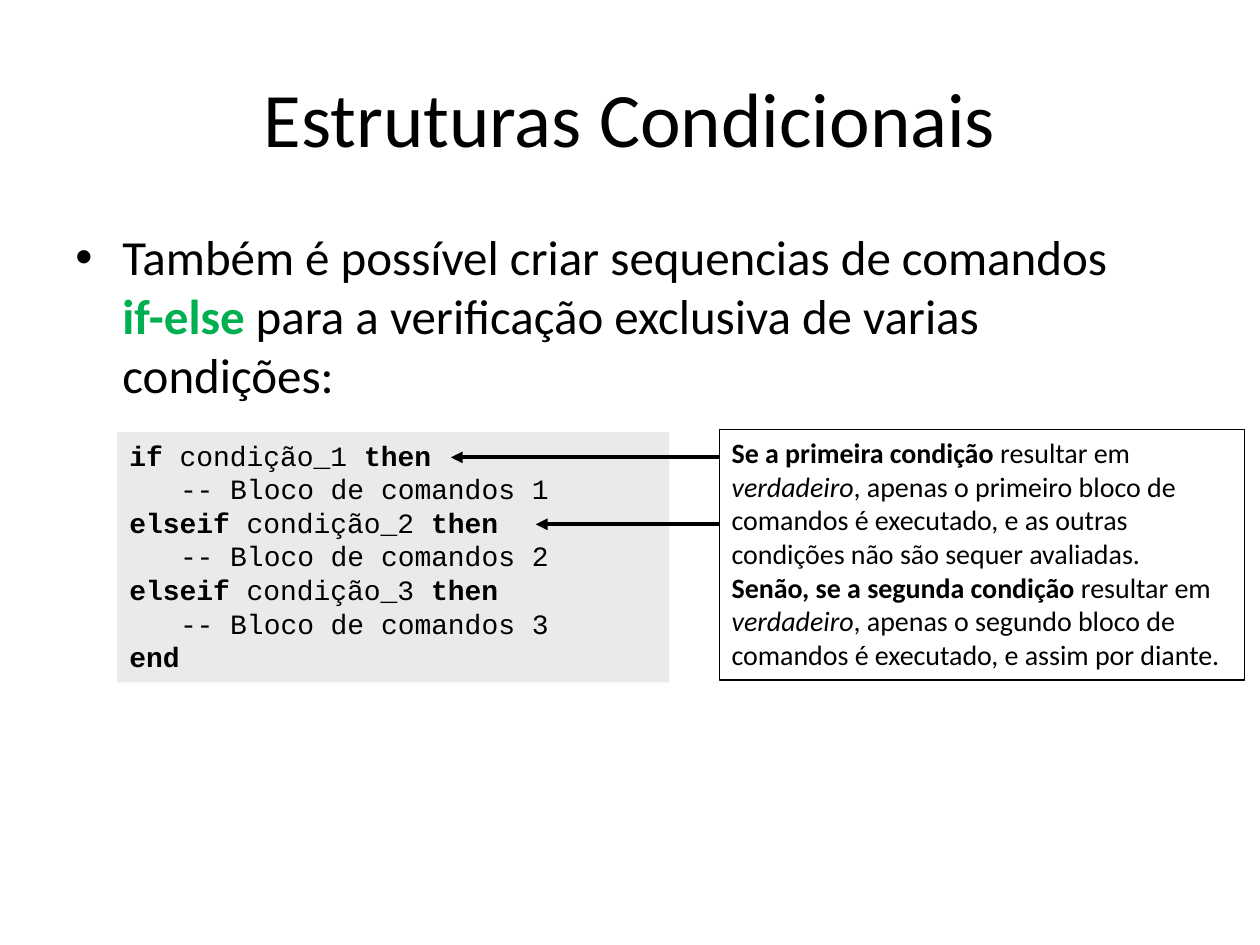
from lxml.etree import SubElement
from pptx import Presentation
from pptx.dml.color import RGBColor
from pptx.enum.shapes import MSO_CONNECTOR, MSO_SHAPE
from pptx.enum.text import MSO_ANCHOR, PP_ALIGN
from pptx.oxml.ns import qn
from pptx.util import Cm, Pt


def color(value):
    return RGBColor.from_string(value)


def write(paragraph, text, font="Calibri", size=16, ink="000000", bold=False, italic=False):
    run = paragraph.add_run()
    run.text = text
    run.font.name = font
    run.font.size = Pt(size)
    run.font.bold = bold
    run.font.italic = italic
    run.font.color.rgb = color(ink)


class Lesson:
    ink = "000000"
    keyword = "00B050"
    code_fill = "EAEAEA"

    def __init__(self, slide):
        self.slide = slide

    def fill_frame(self, frame, paragraphs, anchor=MSO_ANCHOR.TOP, align=PP_ALIGN.LEFT, **style):
        frame.word_wrap = True
        frame.vertical_anchor = anchor
        for index, spans in enumerate(paragraphs):
            paragraph = frame.add_paragraph() if index else frame.paragraphs[0]
            paragraph.alignment = align
            for text, extra in spans:
                write(paragraph, text, **{**style, **extra})
        return frame

    def text(self, box, paragraphs, **style):
        shape = self.slide.shapes.add_textbox(*map(Cm, box))
        return self.fill_frame(shape.text_frame, paragraphs, **style)

    def bullet(self, box, spans, **style):
        frame = self.text(box, [spans], **style)
        frame.margin_right = Cm(1.2)
        paragraph = frame.paragraphs[0]
        paragraph.space_before = Pt(5.6)
        properties = paragraph._p.get_or_add_pPr()
        hanging = Cm(0.95)
        properties.set("marL", str(hanging))
        properties.set("indent", str(-hanging))
        SubElement(properties, qn("a:buFont")).set("typeface", "Arial")
        SubElement(properties, qn("a:buChar")).set("char", "•")

    def panel(self, box, paragraphs, fill=None, line=None, **style):
        shape = self.slide.shapes.add_shape(MSO_SHAPE.RECTANGLE, *map(Cm, box))
        shape.shadow.inherit = False
        if fill:
            shape.fill.solid()
            shape.fill.fore_color.rgb = color(fill)
        else:
            shape.fill.background()
        if line:
            shape.line.color.rgb = color(line)
            shape.line.width = Pt(0.75)
        else:
            shape.line.fill.background()
        return self.fill_frame(shape.text_frame, paragraphs, **style)

    def code(self, box, lines):
        frame = self.panel(box, [spans for _, spans in lines], fill=self.code_fill, font="Courier New")
        for paragraph, (level, _) in zip(frame.paragraphs, lines):
            paragraph._p.get_or_add_pPr().set("marL", str(Cm(1.02) * level))

    def arrow(self, start, end, y):
        connector = self.slide.shapes.add_connector(
            MSO_CONNECTOR.STRAIGHT, Cm(start), Cm(y), Cm(end), Cm(y))
        connector.line.color.rgb = color(self.ink)
        connector.line.width = Pt(2.25)
        SubElement(connector.line._get_or_add_ln(), qn("a:tailEnd")).set("type", "triangle")
        SubElement(connector._element.spPr, qn("a:effectLst"))


def plain(text):
    return text, {}


def bold(text, **extra):
    return text, {"bold": True, **extra}


def italic(text):
    return text, {"italic": True}


presentation = Presentation()
presentation.slide_width = Cm(25.4)
presentation.slide_height = Cm(19.05)
lesson = Lesson(presentation.slides.add_slide(presentation.slide_layouts[6]))

lesson.text((1.27, 0.76, 22.86, 3.18), [[plain("Estruturas Condicionais")]],
            size=44, anchor=MSO_ANCHOR.MIDDLE, align=PP_ALIGN.CENTER)

lesson.bullet((1.27, 4.45, 22.86, 12.57), [
    plain("Também é possível criar sequencias de comandos "),
    bold("if-else", ink=lesson.keyword),
    plain(" para a verificação exclusiva de varias condições:"),
], size=28)

code_lines = []
for number, branch in enumerate(("if", "elseif", "elseif"), start=1):
    code_lines.append((0, [bold(branch), plain(f" condição_{number} "), bold("then")]))
    code_lines.append((1, [plain(f"-- Bloco de comandos {number}")]))
code_lines.append((0, [bold("end")]))
lesson.code((2.36, 8.71, 11.13, 5.05), code_lines)

explanations = [
    ("Se a primeira condição ",
     ", apenas o primeiro bloco de comandos é executado, e as outras condições não são sequer avaliadas."),
    ("Senão, se a segunda condição ",
     ", apenas o segundo bloco de comandos é executado, e assim por diante."),
]
explanation_left = 14.5
lesson.panel((explanation_left, 8.66, 10.59, 5.05), [
    [bold(condition), plain("resultar em "), italic("verdadeiro"), plain(outcome)]
    for condition, outcome in explanations
], line=lesson.ink)

for condition_end, condition_y in ((9.09, 9.22), (10.8, 10.57)):
    lesson.arrow(explanation_left, condition_end, condition_y)

presentation.save("out.pptx")
